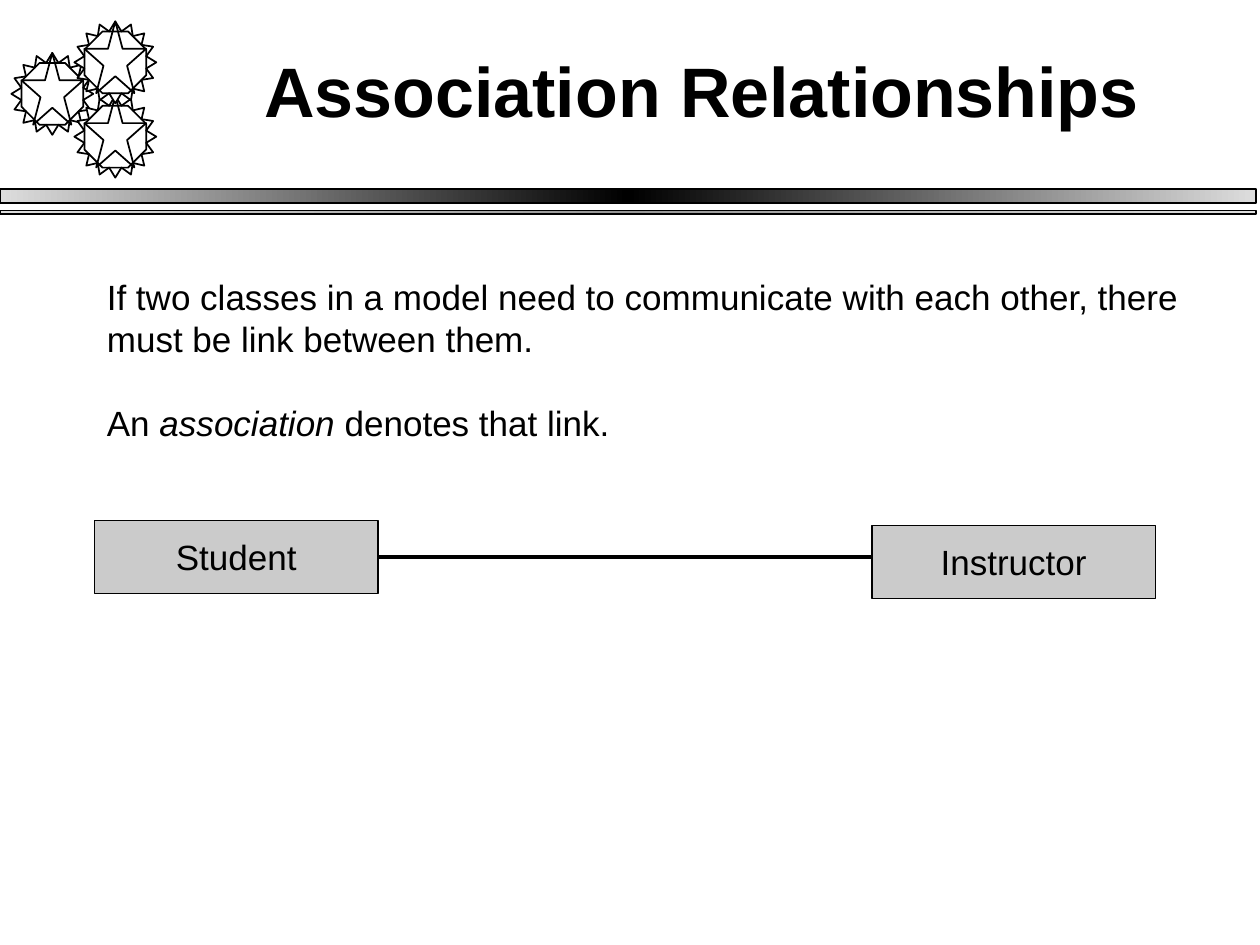
"""Build the slide on association relationships."""
from copy import deepcopy
from dataclasses import dataclass

from lxml.etree import SubElement
from pptx import Presentation
from pptx.dml.color import RGBColor
from pptx.enum.shapes import MSO_CONNECTOR, MSO_SHAPE
from pptx.enum.text import MSO_ANCHOR, PP_ALIGN
from pptx.oxml.ns import qn
from pptx.util import Inches, Pt


@dataclass(frozen=True)
class Theme:
    font: str = "Arial"
    ink: str = "000000"
    paper: str = "FFFFFF"
    box: str = "CBCBCB"
    edge: str = "DDDDDD"
    mid: str = "969696"
    head: int = 40
    body: int = 20
    thin: float = 0.75
    rule: float = 1
    link: float = 2.25


class Page:
    def __init__(self, slide, theme):
        self.slide, self.theme = slide, theme

    def shape(self, kind, place, fill, width):
        item = self.slide.shapes.add_shape(kind, *map(Inches, place))
        item.shadow.inherit = False
        if fill:
            item.fill.solid()
            item.fill.fore_color.rgb = RGBColor.from_string(fill)
        else:
            item.fill.background()
        item.line.color.rgb = RGBColor.from_string(self.theme.ink)
        item.line.width = Pt(width)
        return item

    def band(self, top, height, core):
        theme = self.theme
        item = self.shape(MSO_SHAPE.RECTANGLE, (0, top, 9.97, height), None, theme.rule)
        item.fill.gradient()
        item.fill.gradient_angle = 0
        stops = next(item.element.spPr.iter(qn("a:gsLst")))
        stops.insert(1, deepcopy(stops[0]))
        tones = (theme.edge, core, theme.edge)
        for index, (stop, tone) in enumerate(zip(item.fill.gradient_stops, tones)):
            stop.position = index / 2
            stop.color.rgb = RGBColor.from_string(tone)

    def gear(self, left, top):
        theme = self.theme
        teeth = self.shape(MSO_SHAPE.STAR_16_POINT, (left, top, 0.65, 0.65),
                           theme.paper, theme.rule)
        teeth.adjustments[0] = 0.385
        self.shape(MSO_SHAPE.STAR_5_POINT, (left + 0.08, top, 0.49, 0.57),
                   theme.paper, theme.rule)
        self.shape(MSO_SHAPE.OCTAGON, (left + 0.08, top + 0.08, 0.49, 0.49),
                   None, theme.rule)

    def words(self, para, text, size, shade=False, **style):
        run = para.add_run()
        run.text = text
        run.font.color.rgb = RGBColor.from_string(self.theme.ink)
        if shade:
            glow = SubElement(SubElement(run.font._element, qn("a:effectLst")),
                              qn("a:outerShdw"), dist="38100", dir="2700000")
            SubElement(glow, qn("a:srgbClr"), val=self.theme.edge)
        style = {"name": self.theme.font, "size": Pt(size), **style}
        for name, value in style.items():
            setattr(run.font, name, value)

    def text(self, place, anchor=MSO_ANCHOR.TOP):
        frame = self.slide.shapes.add_textbox(*map(Inches, place)).text_frame
        frame.word_wrap = True
        frame.vertical_anchor = anchor
        return frame

    def node(self, left, top, label):
        theme = self.theme
        item = self.shape(MSO_SHAPE.RECTANGLE, (left, top, 2.25, 0.58),
                          theme.box, theme.thin)
        frame = item.text_frame
        frame.word_wrap = False
        frame.vertical_anchor = MSO_ANCHOR.MIDDLE
        para = frame.paragraphs[0]
        para.alignment = PP_ALIGN.CENTER
        self.words(para, label, theme.body)

    def link(self, *ends):
        line = self.slide.shapes.add_connector(MSO_CONNECTOR.STRAIGHT, *map(Inches, ends))
        line.line.color.rgb = RGBColor.from_string(self.theme.ink)
        line.line.width = Pt(self.theme.link)
        SubElement(line.element.spPr, qn("a:effectLst"))


def main():
    deck = Presentation()
    deck.slide_width, deck.slide_height = Inches(10), Inches(7.5)
    theme = Theme()
    page = Page(deck.slides.add_slide(deck.slide_layouts[6]), theme)

    page.band(1.5, 0.11, theme.ink)
    page.band(1.67, 0.03, theme.mid)
    for spot in ((0.09, 0.42), (0.59, 0.76), (0.59, 0.17)):
        page.gear(*spot)

    title = page.text((2, 0.42, 7.62, 0.58), MSO_ANCHOR.MIDDLE)
    page.words(title.paragraphs[0], "Association Relationships", theme.head,
               shade=True, bold=True)

    body = page.text((0.75, 2.14, 8.87, 1.44))
    page.words(body.paragraphs[0], "If two classes in a model need to communicate "
               "with each other, there must be link between them.", theme.body)
    para = body.add_paragraph()
    para.space_before = Pt(24)
    for part, slant in (("An ", False), ("association", True), (" denotes that link.", False)):
        page.words(para, part, theme.body, italic=slant)

    page.link(3, 4.42, 7, 4.42)
    page.node(6.92, 4.17, "Instructor")
    page.node(0.75, 4.13, "Student")
    deck.save("out.pptx")


if __name__ == "__main__":
    main()
